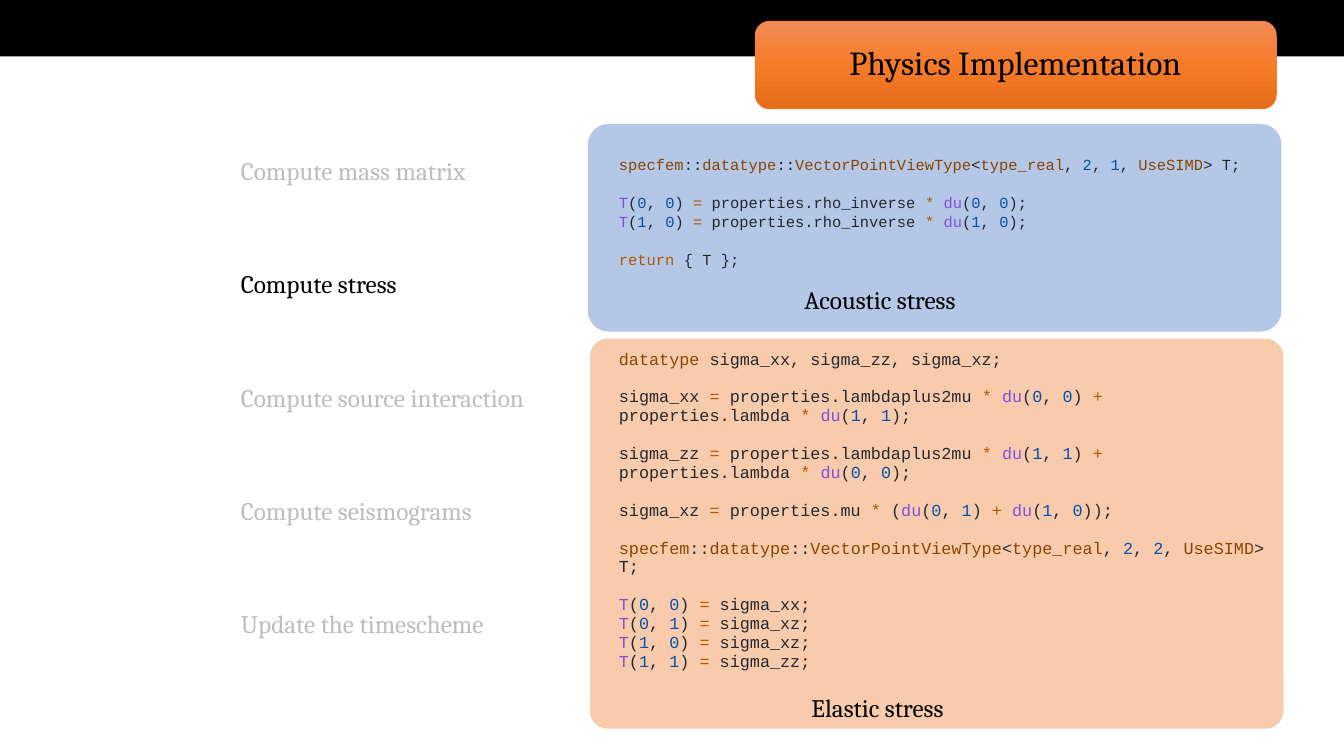
from copy import deepcopy
from itertools import groupby

from lxml import etree
from pptx import Presentation
from pptx.dml.color import RGBColor
from pptx.enum.shapes import MSO_SHAPE
from pptx.enum.text import MSO_ANCHOR, PP_ALIGN
from pptx.oxml.ns import qn
from pptx.util import Inches, Pt

RECT, ROUNDED = MSO_SHAPE.RECTANGLE, MSO_SHAPE.ROUNDED_RECTANGLE
MIDDLE, CENTER = MSO_ANCHOR.MIDDLE, PP_ALIGN.CENTER


class Theme:
    black = RGBColor.from_string("000000")
    white = RGBColor.from_string("FFFFFF")
    acoustic = RGBColor.from_string("B4C7E7")
    elastic = RGBColor.from_string("F8CBAD")
    title_line = RGBColor.from_string("ED7D31")
    title_stops = [RGBColor.from_string(c) for c in ("F18C57", "F67B28", "E56C19")]
    code = {
        "plain": RGBColor.from_string("24292F"),
        "type": RGBColor.from_string("8A4600"),
        "number": RGBColor.from_string("0550AE"),
        "operator": RGBColor.from_string("B35900"),
        "call": RGBColor.from_string("8250DF"),
    }
    font, code_font = "Cambria", "Courier New"
    title_size, label_size = Pt(24), Pt(18)
    acoustic_size, elastic_size = Pt(11), Pt(12)
    code_line = Pt(13.5)


TYPE_NAMES = {"specfem", "datatype", "VectorPointViewType", "type_real", "UseSIMD"}

# Each block is separated from the next by one line of space
ACOUSTIC_CODE = [
    ["specfem::datatype::VectorPointViewType<type_real, 2, 1, UseSIMD> T;"],
    ["T(0, 0) = properties.rho_inverse * du(0, 0);",
     "T(1, 0) = properties.rho_inverse * du(1, 0);"],
    ["return { T };"],
]
ELASTIC_CODE = [
    ["datatype sigma_xx, sigma_zz, sigma_xz;"],
    ["sigma_xx = properties.lambdaplus2mu * du(0, 0) + properties.lambda * du(1, 1);"],
    ["sigma_zz = properties.lambdaplus2mu * du(1, 1) + properties.lambda * du(0, 0);"],
    ["sigma_xz = properties.mu * (du(0, 1) + du(1, 0));"],
    ["specfem::datatype::VectorPointViewType<type_real, 2, 2, UseSIMD> T;"],
    ["T(0, 0) = sigma_xx;", "T(0, 1) = sigma_xz;",
     "T(1, 0) = sigma_xz;", "T(1, 1) = sigma_zz;"],
]

prs = Presentation()
prs.slide_width, prs.slide_height = Inches(13.33), Inches(7.5)
slide = prs.slides.add_slide(prs.slide_layouts[5])
shapes = slide.shapes


def add_panel(kind, left, top, width, height, color):
    panel = shapes.add_shape(kind, Inches(left), Inches(top), Inches(width), Inches(height))
    panel.shadow.inherit = False
    panel.fill.solid()
    panel.fill.fore_color.rgb = color
    panel.line.fill.background()
    return panel


def char_kind(char):
    if char.isalnum() or char in "_.":
        return "word"
    return "operator" if char in "=*+" else "plain"


# Header band and title
add_panel(RECT, 0, 0, 13.33, 0.56, Theme.black)
title_plate = add_panel(ROUNDED, 7.49, 0.21, 5.17, 0.87, Theme.title_line)
title_plate.line.color.rgb = Theme.title_line
title_plate.line.width = Pt(0.5)
title_plate.fill.gradient()
title_plate.fill.gradient_angle = 270
stop_list = title_plate.element.find(".//" + qn("a:gsLst"))
stop_list.insert(1, deepcopy(stop_list[0]))
for stop, position, color in zip(title_plate.fill.gradient_stops, (0, 0.5, 1), Theme.title_stops):
    stop.position = position
    stop.color.rgb = color

title = shapes.title
title_plate.element.addnext(title.element)
title.left, title.top = Inches(7.49), Inches(0.21)
title.width, title.height = Inches(5.16), Inches(0.87)
title.text_frame.vertical_anchor = MIDDLE
heading = title.text_frame.paragraphs[0]
heading.alignment = CENTER
heading.line_spacing = 0.9
heading_run = heading.add_run()
heading_run.text = "Physics Implementation"
heading_run.font.name = Theme.font
heading_run.font.size = Theme.title_size
heading_run.font.color.rgb = Theme.black

# Code panels
elastic_panel = add_panel(ROUNDED, 5.85, 3.36, 6.88, 3.87, Theme.elastic)
elastic_panel.adjustments[0] = 0.046
acoustic_panel = add_panel(ROUNDED, 5.83, 1.23, 6.88, 2.06, Theme.acoustic)
acoustic_panel.adjustments[0] = 0.1

# Step list and panel captions
steps = [("Compute mass matrix", 2.66), ("Compute stress", 1.92),
         ("Compute source interaction", 3.3), ("Compute seismograms", 2.75),
         ("Update the timescheme", 2.85)]
labels = [(text, 2.29, 1.49 + 1.125 * i, width) for i, (text, width) in enumerate(steps)]
labels += [("Acoustic stress", 7.88, 2.77, 1.85), ("Elastic stress", 7.95, 6.82, 1.71)]
for text, left, top, width in labels:
    label = shapes.add_textbox(Inches(left), Inches(top), Inches(width), Inches(0.4))
    label.text_frame.word_wrap = False
    label_run = label.text_frame.paragraphs[0].add_run()
    label_run.text = text
    label_run.font.name = Theme.font
    label_run.font.size = Theme.label_size
    label_run.font.color.rgb = Theme.black

# Translucent veils dim every step but the current one
for top, height in ((3.56, 3.16), (0.89, 1.4)):
    veil = add_panel(RECT, 0.96, top, 4.86, height, Theme.white)
    veil_color = veil.element.spPr.find(qn("a:solidFill"))[0]
    etree.SubElement(veil_color, qn("a:alpha"), val="74000")

# Highlighted code
listings = [(ACOUSTIC_CODE, 1.49, 6.5, 1.28, Theme.acoustic_size),
            (ELASTIC_CODE, 3.42, 6.67, 3.44, Theme.elastic_size)]
for blocks, top, width, height, size in listings:
    listing = shapes.add_textbox(Inches(6.04), Inches(top), Inches(width), Inches(height))
    frame = listing.text_frame
    frame.word_wrap = True
    lines = [(b, n, line) for b, block in enumerate(blocks) for n, line in enumerate(block)]
    for b, n, line in lines:
        first = b == n == 0
        code_line = frame.paragraphs[0] if first else frame.add_paragraph()
        code_line.line_spacing = Theme.code_line
        if n == 0 and not first:
            code_line.space_before = Theme.code_line
        tokens = [(kind, "".join(chars)) for kind, chars in groupby(line, char_kind)]
        followers = [token for _, token in tokens[1:]] + [""]
        for (kind, token), follower in zip(tokens, followers):
            if kind == "word":
                if token.isdigit():
                    kind = "number"
                elif token in TYPE_NAMES:
                    kind = "type"
                elif token == "return":
                    kind = "operator"
                else:
                    kind = "call" if follower.startswith("(") else "plain"
            token_run = code_line.add_run()
            token_run.text = token
            token_run.font.name = Theme.code_font
            token_run.font.size = size
            token_run.font.color.rgb = Theme.code[kind]

prs.save("out.pptx")
